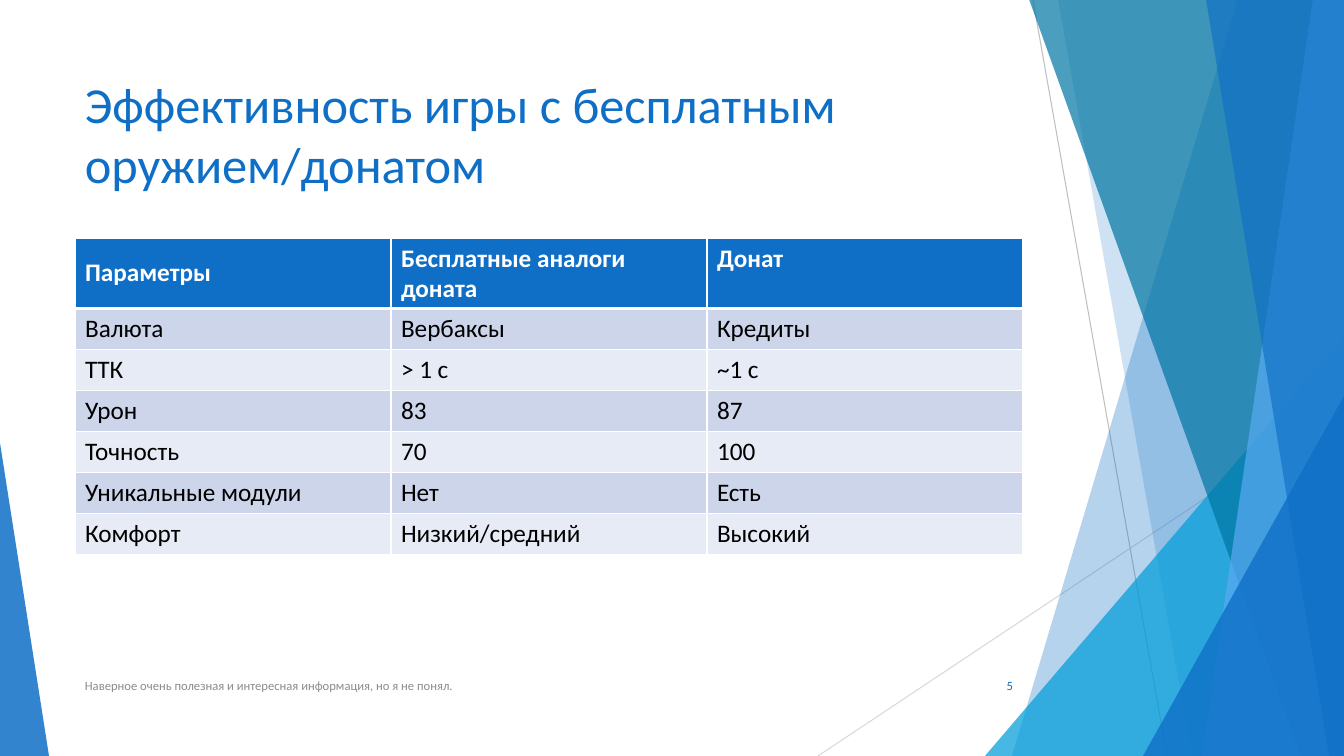
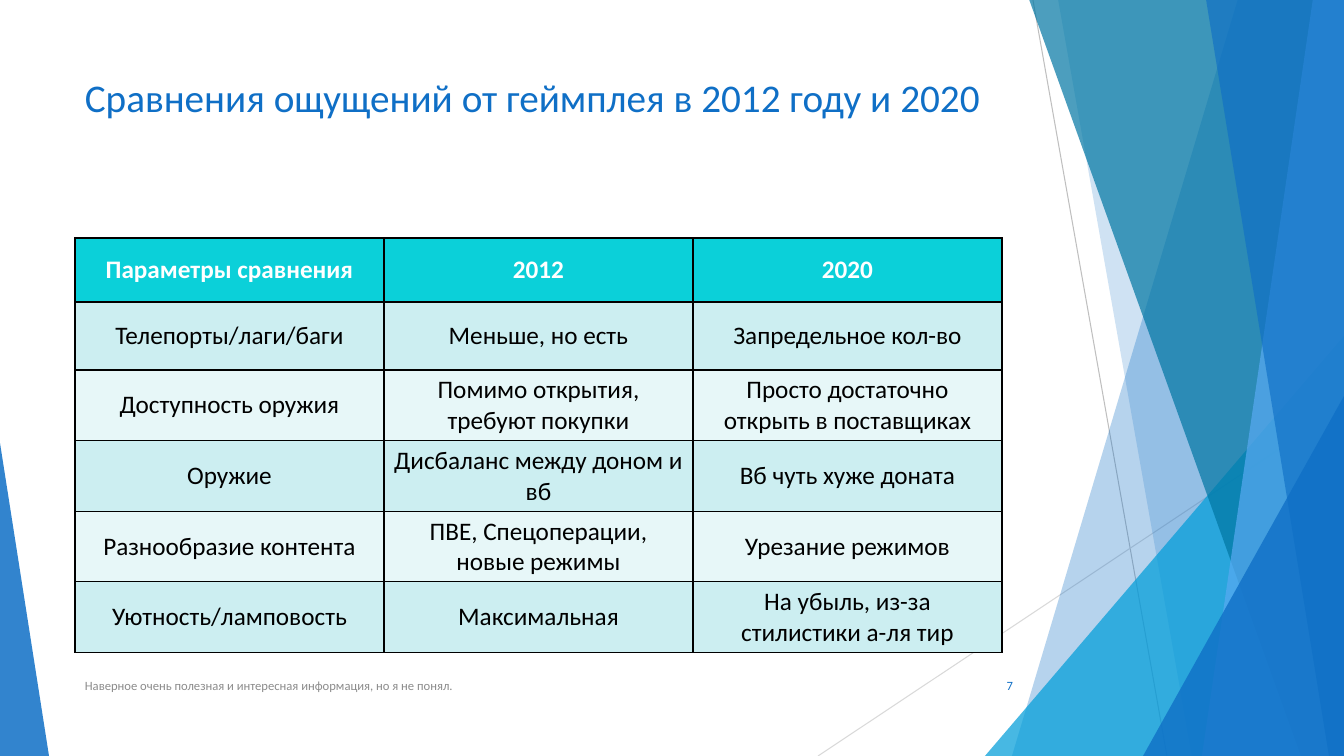
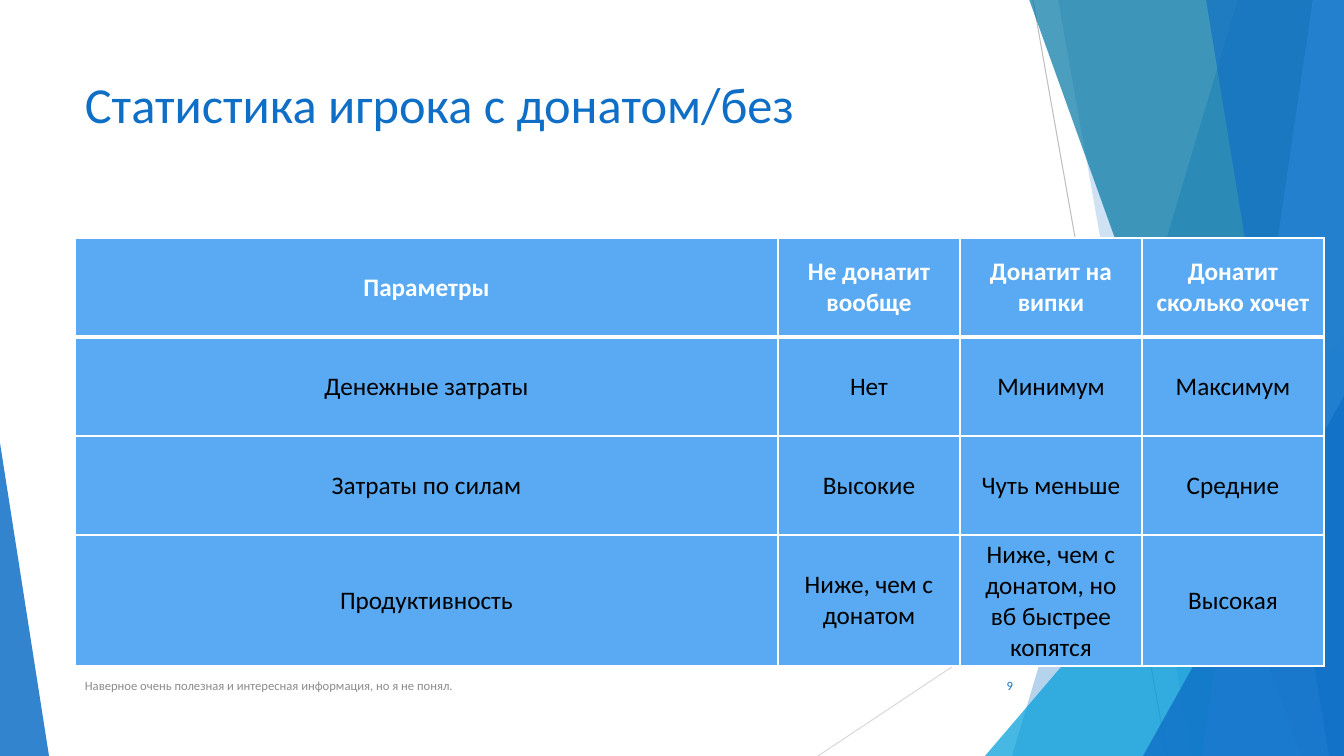
from lxml.etree import SubElement as Sub
from pptx import Presentation
from pptx.dml.color import RGBColor
from pptx.enum.shapes import MSO_CONNECTOR as Conn, MSO_SHAPE as Shape
from pptx.enum.text import MSO_ANCHOR as Anchor, PP_ALIGN as Align
from pptx.oxml.ns import qn
from pptx.util import Pt

# Shared look
WIDE, HIGH = 1344, 756
FONT = "Calibri"
BLUE, SKY, CYAN, DEEP = "0F6FC6", "59AAF2", "009DD9", "0076A3"
WHITE, BLACK, GREY = "FFFFFF", "000000", "8C8C8C"
NOTE = "Наверное очень полезная и интересная информация, но я не понял."
LEFT, TOP = 75, 238

# Backdrop: lines as two points, bands as top x and bottom x, wedges as boxes
LINES = [(1033, 0, 1167, HIGH, "BFBFBF"), (WIDE, 406, 818, HIGH, "D9D9D9")]
BANDS = {
    "back": [(1238, 1012, BLUE, 30), (1058, 1192, BLUE, 20)],
    "front": [(1029, 1301, DEEP, 70), (1313, 1202, SKY, 70), (1206, 1329, BLUE, 65)],
}
WEDGES = {
    "back": [(985, 336, 359, 420, 1, CYAN, 72)],
    "front": [(1143, 396, 201, 360, 1, BLUE, 80), (0, 443, 49, 313, 0, BLUE, 85)],
}

# Slides
SLIDES = [
    dict(
        title="Эффективность игры с бесплатным оружием/донатом", size=36, num="5",
        cols=[316] * 3, rows=[41] * 7, align=Align.LEFT,
        head=BLUE, bands=["CCD5EA", "E7EBF5"], edge=WHITE, rule=3,
        cells=[
            ("Параметры", "Бесплатные аналоги доната", "Донат"),
            ("Валюта", "Вербаксы", "Кредиты"),
            ("ТТК", "> 1 c", "~1 с"),
            ("Урон", "83", "87"),
            ("Точность", "70", "100"),
            ("Уникальные модули", "Нет", "Есть"),
            ("Комфорт", "Низкий/средний", "Высокий"),
        ],
    ),
    dict(
        title="Сравнения ощущений от геймплея в 2012 году и 2020", size=28, num="7",
        cols=[309] * 3, rows=[64] + [68] * 5, align=Align.CENTER,
        head="0BD0D9", bands=["CCEEF1", "E7F7F8"], edge=BLACK, rule=1,
        cells=[
            ("Параметры сравнения", "2012", "2020"),
            ("Телепорты/лаги/баги", "Меньше, но есть", "Запредельное кол-во"),
            ("Доступность оружия", "Помимо открытия, требуют покупки",
             "Просто достаточно открыть в поставщиках"),
            ("Оружие", "Дисбаланс между доном и вб", "Вб чуть хуже доната"),
            ("Разнообразие контента", "ПВЕ, Спецоперации, новые режимы",
             "Урезание режимов"),
            ("Уютность/ламповость", "Максимальная",
             "На убыль, из-за стилистики а-ля тир"),
        ],
    ),
    dict(
        title="Статистика игрока с донатом/без", size=36, num="9",
        cols=[703] + [182] * 3, rows=[99] * 4, align=Align.CENTER,
        head=SKY, bands=[SKY, SKY], edge=WHITE, rule=3,
        cells=[
            ("Параметры", "Не донатит вообще", "Донатит на випки",
             "Донатит сколько хочет"),
            ("Денежные затраты", "Нет", "Минимум", "Максимум"),
            ("Затраты по силам", "Высокие", "Чуть меньше", "Средние"),
            ("Продуктивность", "Ниже, чем с донатом",
             "Ниже, чем с донатом, но вб быстрее копятся", "Высокая"),
        ],
    ),
]


def px(num):
    return round(num * 914400 / 100.8)


def rgb(code):
    return RGBColor.from_string(code)


def paint(shape, color, alpha):
    shape.shadow.inherit = False
    shape.line.fill.background()
    shape.fill.solid()
    shape.fill.fore_color.rgb = rgb(color)
    tint = shape.element.spPr.find(qn("a:solidFill")).find(qn("a:srgbClr"))
    Sub(tint, qn("a:alpha"), val=str(alpha * 1000))


def write(frame, text, size, color, bold=False, align=Align.LEFT):
    frame.text = text
    para = frame.paragraphs[0]
    para.alignment = align
    font = para.runs[0].font
    font.name, font.size, font.bold = FONT, Pt(size), bold
    font.color.rgb = rgb(color)


def label(slide, box, text, size, color, anchor=Anchor.MIDDLE, align=Align.LEFT):
    frame = slide.shapes.add_textbox(*map(px, box)).text_frame
    frame.word_wrap = True
    frame.vertical_anchor = anchor
    write(frame, text, size, color, align=align)


# Backdrop
def backdrop(slide):
    shapes = slide.shapes
    for *ends, color in LINES:
        line = shapes.add_connector(Conn.STRAIGHT, *map(px, ends))
        line.line.color.rgb = rgb(color)
        line.line.width = Pt(0.75)
        Sub(line.element.spPr, qn("a:effectLst"))
    for layer in ("back", "front"):
        for top, base, color, alpha in BANDS[layer]:
            form = shapes.build_freeform(px(top), px(-1))
            spots = [(WIDE, -1), (WIDE, HIGH), (base, HIGH)]
            form.add_line_segments([(px(x), px(y)) for x, y in spots])
            paint(form.convert_to_shape(), color, alpha)
        for *box, tip, color, alpha in WEDGES[layer]:
            wedge = shapes.add_shape(Shape.ISOSCELES_TRIANGLE, *map(px, box))
            wedge.adjustments[0] = tip
            paint(wedge, color, alpha)


# Tables
def edges(cell, color, widths):
    props = cell._tc.get_or_add_tcPr()
    for side, width in zip("LRTB", widths):
        line = Sub(props, qn("a:ln" + side), w=str(Pt(width)))
        Sub(Sub(line, qn("a:solidFill")), qn("a:srgbClr"), val=color)


def grid(slide, data):
    cols, rows = data["cols"], data["rows"]
    box = LEFT, TOP, sum(cols), sum(rows)
    table = slide.shapes.add_table(len(rows), len(cols), *map(px, box)).table
    table.horz_banding = False
    for col, width in zip(table.columns, cols):
        col.width = px(width)
    for i, texts in enumerate(data["cells"]):
        table.rows[i].height = px(rows[i])
        head = i == 0
        fill = data["head"] if head else data["bands"][(i - 1) % 2]
        over = data["rule"] if i == 1 else 1
        under = data["rule"] if head else 1
        for j, text in enumerate(texts):
            cell = table.cell(i, j)
            edges(cell, data["edge"], (1, 1, over, under))
            cell.fill.solid()
            cell.fill.fore_color.rgb = rgb(fill)
            mid = data["align"] == Align.CENTER or (head and j == 0)
            cell.vertical_anchor = Anchor.MIDDLE if mid else Anchor.TOP
            write(cell.text_frame, text, 18, WHITE if head else BLACK,
                  head, data["align"])


def main():
    deck = Presentation()
    deck.slide_width, deck.slide_height = px(WIDE), px(HIGH)
    for data in SLIDES:
        slide = deck.slides.add_slide(deck.slide_layouts[6])
        backdrop(slide)
        label(slide, (LEFT, 68, 948, 145), data["title"], data["size"], BLUE, Anchor.TOP)
        grid(slide, data)
        label(slide, (LEFT, 666, 695, 40), NOTE, 9, GREY)
        label(slide, (947, 666, 76, 40), data["num"], 9, BLUE, align=Align.RIGHT)
    deck.save("out.pptx")


if __name__ == "__main__":
    main()
